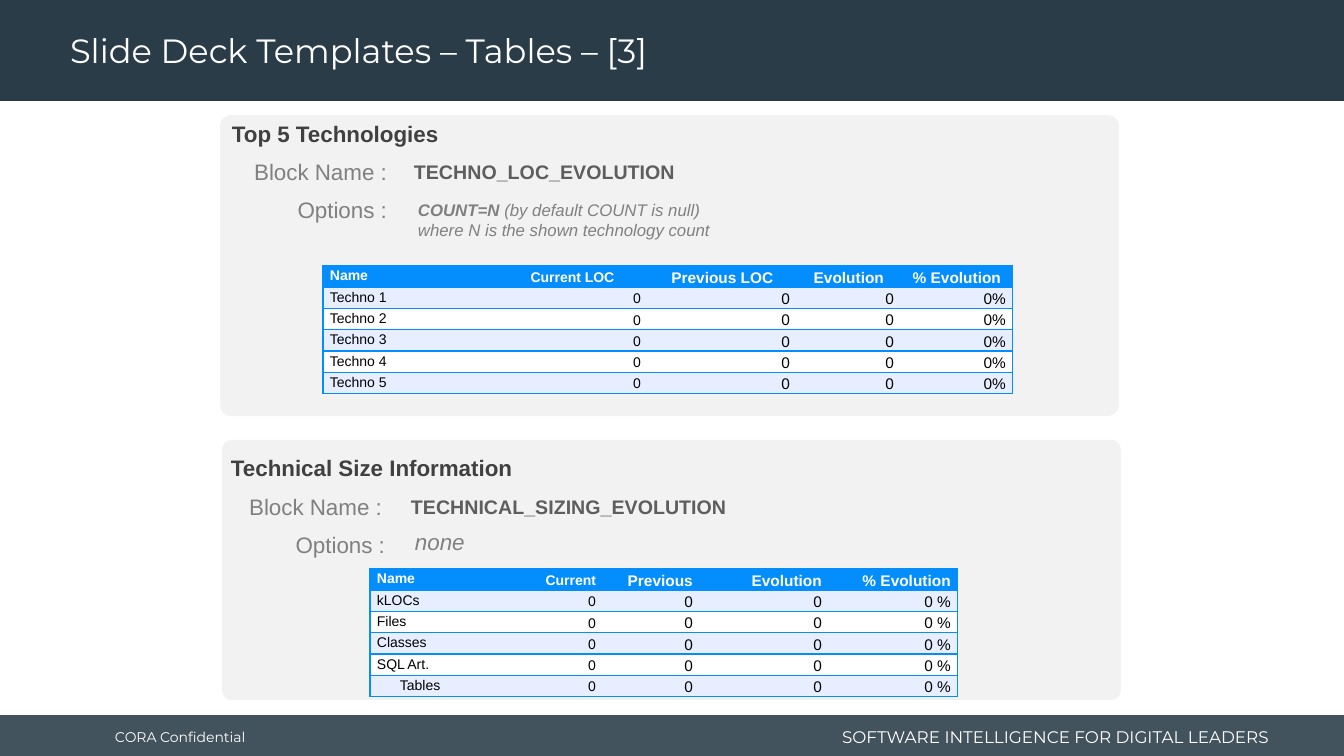
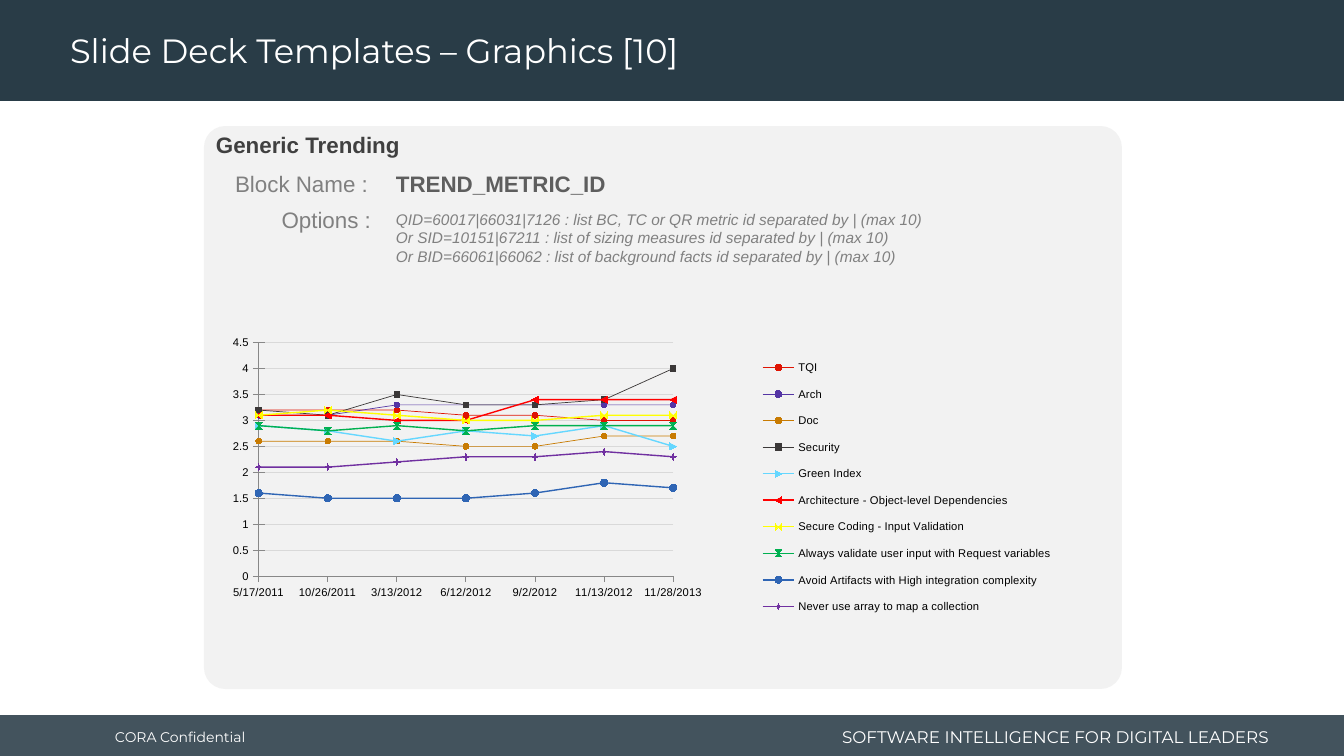
"""Build two template reference slides: evolution tables and a metric trend chart."""
from lxml.etree import SubElement
from pptx import Presentation
from pptx.chart.data import CategoryChartData
from pptx.dml.color import RGBColor
from pptx.enum.chart import XL_CHART_TYPE, XL_LEGEND_POSITION, XL_MARKER_STYLE, XL_TICK_MARK
from pptx.enum.shapes import MSO_SHAPE
from pptx.enum.text import MSO_ANCHOR, MSO_AUTO_SIZE, PP_ALIGN
from pptx.oxml import parse_xml
from pptx.oxml.ns import nsdecls, qn
from pptx.util import Emu, Pt

W, H = 1344, 756
SCALE = 12192000 / W
NAVY, WHITE, BLACK, PANEL = "293C47", "FFFFFF", "000000", "F2F2F2"
HEADING, NAME, GREY = "404040", "5E5E5E", "808080"
BLUE, STRIPE, AXIS, GRID = "048EFD", "E7EEFF", "888888", "D9D9D9"
BODY, BRAND = "Arial", "Montserrat"
LEFT, CENTER, RIGHT = PP_ALIGN.LEFT, PP_ALIGN.CENTER, PP_ALIGN.RIGHT
LABEL_W = 180

TECHNOLOGIES = {
    "box": (220, 115, 899, 301), "heading": ("Top 5 Technologies", 212, 115),
    "name": ("TECHNO_LOC_EVOLUTION", 404, 155, 14),
    "labels": [("Block Name :", 397, 153), ("Options :", 397, 191)],
    "options": (408, 195, 12, [
        [("COUNT=N", True), (" (by default COUNT is null)", False)],
        [("where N is the shown technology count", False)]]),
}
TECHNO_TABLE = {
    "at": (323, 266), "cols": [174, 151, 149, 104, 112], "head_align": CENTER,
    "head": ["Name", "Current LOC", "Previous LOC", "Evolution", "% Evolution"],
    "rows": [(f"Techno {n}", 0) for n in range(1, 6)], "values": ["0", "0", "0", "0%"],
}
SIZING = {
    "box": (222, 440, 899, 260), "heading": ("Technical Size Information", 211, 449),
    "name": ("TECHNICAL_SIZING_EVOLUTION", 401, 490, 14),
    "labels": [("Block Name :", 392, 488), ("Options :", 395, 526)],
    "options": (405, 523, 16, [[("none", False)]]),
}
SIZING_TABLE = {
    "at": (370, 569), "cols": [136, 97, 97, 129, 129], "head_align": RIGHT,
    "head": ["Name", "Current", "Previous", "Evolution", "% Evolution"],
    "rows": [("kLOCs", 0), ("Files", 0), ("Classes", 0), ("SQL Art.", 0), ("Tables", 23)],
    "values": ["0", "0", "0", "0 %"],
}
TRENDING = {
    "box": (204, 126, 918, 563), "heading": ("Generic Trending", 196, 126),
    "name": ("TREND_METRIC_ID", 386, 165, 16),
    "labels": [("Block Name :", 378, 165), ("Options :", 381, 201)],
    "options": (386, 205, 11, [[(line, False)] for line in (
        "QID=60017|66031|7126 : list BC, TC or QR metric id separated by | (max 10)",
        "Or SID=10151|67211 : list of sizing measures id separated by | (max 10)",
        "Or BID=66061|66062 : list of background facts id separated by | (max 10)")]),
}
CHART_BOX = (204, 293, 913, 388)
PLOT_LAYOUT, LEGEND_LAYOUT = (0.06, 0.128, 0.454, 0.602), (0.6, 0.14, 0.34, 0.72)
DATES = ["5/17/2011", "10/26/2011", "3/13/2012", "6/12/2012", "9/2/2012",
         "11/13/2012", "11/28/2013"]
CIRCLE, SQUARE = XL_MARKER_STYLE.CIRCLE, XL_MARKER_STYLE.SQUARE
SERIES = [
    ("TQI", [3.2, 3.2, 3.2, 3.1, 3.1, 3, 3], "DF1403", CIRCLE, "950D02"),
    ("Arch", [3.1, 3.1, 3.3, 3.3, 3.3, 3.3, 3.3], "5435A4", CIRCLE, "38246D"),
    ("Doc", [2.6, 2.6, 2.6, 2.5, 2.5, 2.7, 2.7], "C87B02", CIRCLE, "855201"),
    ("Security", [3.2, 3.1, 3.5, 3.3, 3.3, 3.4, 4], "3B3838", SQUARE, "181717"),
    ("Green Index", [2.9, 2.8, 2.6, 2.8, 2.7, 2.9, 2.5], "65D7FF", None, None),
    ("Architecture - Object-level Dependencies",
     [3.1, 3.1, 3, 3, 3.4, 3.4, 3.4], "FF0000", None, None),
    ("Secure Coding - Input Validation",
     [3.1, 3.2, 3.1, 3, 3, 3.1, 3.1], "FFFF00", None, None),
    ("Always validate user input with Request variables",
     [2.9, 2.8, 2.9, 2.8, 2.9, 2.9, 2.9], "00B050", None, None),
    ("Avoid Artifacts with High integration complexity",
     [1.6, 1.5, 1.5, 1.5, 1.6, 1.8, 1.7], "2F65B4", None, None),
    ("Never use array to map a collection",
     [2.1, 2.1, 2.2, 2.3, 2.3, 2.4, 2.3], "7030A0", None, None),
]


def px(n):
    return Emu(round(n * SCALE))


def rgb(color):
    return RGBColor.from_string(color)


def paint(fill, color):
    fill.solid()
    fill.fore_color.rgb = rgb(color)


def stroke(line, color, width):
    paint(line.fill, color)
    line.width = Pt(width)


def add_run(p, text, size, color, font=BODY, bold=False, italic=False):
    r = p.add_run()
    r.text = text
    f = r.font
    f.size, f.name, f.bold, f.italic = Pt(size), font, bold, italic
    f.color.rgb = rgb(color)


def add_box(s, box, color, shape=MSO_SHAPE.RECTANGLE):
    sp = s.shapes.add_shape(shape, *map(px, box))
    sp.shadow.inherit = False
    paint(sp.fill, color)
    sp.line.fill.background()
    return sp


def add_text(s, box, paragraphs, size, color, align=LEFT, inset=10,
             anchor=MSO_ANCHOR.TOP, font=BODY, italic=False):
    sp = s.shapes.add_textbox(*map(px, box))
    tf = sp.text_frame
    tf.word_wrap = True
    tf.vertical_anchor = anchor
    tf.margin_left = tf.margin_right = px(inset)
    for i, runs in enumerate(paragraphs):
        p = tf.paragraphs[0] if i == 0 else tf.add_paragraph()
        p.alignment = align
        for text, bold in runs:
            add_run(p, text, size, color, font, bold, italic)
    return sp


def move_bands_to_layout(s):
    footer = add_box(s, (0, 715, W, 44), NAVY)
    color = footer.element.spPr.find(qn("a:solidFill"))[0]
    SubElement(color, qn("a:alpha"), val="88000")
    header = add_box(s, (0, 0, W, 101), NAVY)
    style = {"color": WHITE, "font": BRAND, "anchor": MSO_ANCHOR.MIDDLE}
    notice = add_text(s, (105, 717, 170, 40), [[("CORA Confidential", False)]], 10, **style)
    motto = add_text(s, (817, 721, 462, 32),
                     [[("SOFTWARE INTELLIGENCE FOR DIGITAL LEADERS", False)]],
                     12, align=RIGHT, **style)
    tree = s.slide_layout.shapes.element
    for i, sp in enumerate((footer, header, notice, motto)):
        tree.insert(2 + i, sp.element)


def add_slide(prs, title):
    s = prs.slides.add_slide(prs.slide_layouts[5])
    sp = s.shapes.title
    sp.left, sp.top, sp.width, sp.height = map(px, (60, 4, 966, 97))
    tf = sp.text_frame
    tf.auto_size = MSO_AUTO_SIZE.NONE
    tf.word_wrap = True
    tf.vertical_anchor = MSO_ANCHOR.MIDDLE
    p = tf.paragraphs[0]
    p.alignment, p.line_spacing = LEFT, 0.9
    add_run(p, title, 24, WHITE, BRAND)
    return s


def add_panel(s, panel):
    sp = add_box(s, panel["box"], PANEL, MSO_SHAPE.ROUNDED_RECTANGLE)
    sp.adjustments[0] = 0.038
    text, x, y = panel["heading"]
    add_text(s, (x, y, 898, 37), [[(text, True)]], 16, HEADING, inset=20)
    text, x, y, size = panel["name"]
    add_text(s, (x, y, 731, 34), [[(text, True)]], size, NAME)
    for text, right, y in panel["labels"]:
        add_text(s, (right - LABEL_W, y, LABEL_W, 37), [[(text, False)]], 16, GREY, RIGHT)
    x, y, size, paragraphs = panel["options"]
    add_text(s, (x, y, 731, 37), paragraphs, size, GREY, italic=True)


def set_borders(cell, visible):
    tcPr = cell._tc.get_or_add_tcPr()
    for i, side in enumerate("LRTB"):
        fill = (f'<a:solidFill><a:srgbClr val="{BLUE}"/></a:solidFill>'
                if side in visible else "<a:noFill/>")
        tcPr.insert(i, parse_xml(f'<a:ln{side} {nsdecls("a")} w="12700">{fill}</a:ln{side}>'))


def add_table(s, spec):
    cols, row_h = spec["cols"], 21
    rows = [(spec["head"], 0)]
    rows += [([name] + spec["values"], indent) for name, indent in spec["rows"]]
    box = (*spec["at"], sum(cols), row_h * len(rows))
    table = s.shapes.add_table(len(rows), len(cols), *map(px, box)).table
    for col, width in zip(table.columns, cols):
        col.width = px(width)
    for i, (texts, indent) in enumerate(rows):
        table.rows[i].height = px(row_h)
        for j, text in enumerate(texts):
            cell = table.cell(i, j)
            cell.margin_left = px(7 + (indent if j == 0 else 0))
            cell.margin_right = px(7)
            cell.margin_top = cell.margin_bottom = 0
            cell.vertical_anchor = MSO_ANCHOR.TOP if j == 0 else MSO_ANCHOR.MIDDLE
            paint(cell.fill, BLUE if i == 0 else STRIPE if i % 2 else WHITE)
            set_borders(cell, "TB" + ("L" if j == 0 else "R" if j == len(cols) - 1 else ""))
            p = cell.text_frame.paragraphs[0]
            p.line_spacing = 1.15
            p.alignment = LEFT if j == 0 else spec["head_align"] if i == 0 else RIGHT
            add_run(p, text, 10 if j < 2 else 11, BLACK if i else WHITE, bold=i == 0)


def set_layout(parent, index, sizes, inner=False):
    for old in parent.findall(qn("c:layout")):
        parent.remove(old)
    target = '<c:layoutTarget val="inner"/>' if inner else ""
    modes = '<c:xMode val="edge"/><c:yMode val="edge"/>'
    values = "".join(f'<c:{k} val="{v}"/>' for k, v in zip("xywh", sizes))
    parent.insert(index, parse_xml(
        f'<c:layout {nsdecls("c")}><c:manualLayout>{target}{modes}{values}'
        '</c:manualLayout></c:layout>'))


def start_lines_on_axis(val_axis):
    for old in val_axis.findall(qn("c:crossBetween")):
        val_axis.remove(old)
    anchor = val_axis.find(qn("c:crosses"))
    if anchor is None:
        anchor = val_axis.find(qn("c:crossAx"))
    anchor.addnext(parse_xml(f'<c:crossBetween {nsdecls("c")} val="midCat"/>'))


def add_trend_chart(s):
    data = CategoryChartData()
    data.categories = DATES
    for name, values, *_ in SERIES:
        data.add_series(name, values)
    chart = s.shapes.add_chart(XL_CHART_TYPE.LINE_MARKERS, *map(px, CHART_BOX), data).chart
    chart.has_title = False
    chart.font.size, chart.font.name = Pt(8), BODY
    chart.font.color.rgb = rgb(BLACK)
    plot = chart.plots[0]
    plot.vary_by_categories = False
    for series, (_, _, color, symbol, edge) in zip(plot.series, SERIES):
        series.smooth = False
        stroke(series.format.line, color, 0.5 if symbol else 1)
        marker = series.marker
        if symbol:
            marker.style = symbol
        marker.size = 4 if symbol else 5
        paint(marker.format.fill, color)
        stroke(marker.format.line, edge or color, 0.5)
    cat, val = chart.category_axis, chart.value_axis
    cat.major_tick_mark, val.major_tick_mark = XL_TICK_MARK.OUTSIDE, XL_TICK_MARK.CROSS
    for axis in (cat, val):
        stroke(axis.format.line, AXIS, 0.75)
    val.minimum_scale, val.maximum_scale, val.major_unit = 0, 4.5, 0.5
    val.has_major_gridlines = True
    stroke(val.major_gridlines.format.line, GRID, 0.75)
    chart.has_legend = True
    chart.legend.position = XL_LEGEND_POSITION.RIGHT
    chart.legend.include_in_layout = False
    root = chart.element
    start_lines_on_axis(root.find(".//" + qn("c:valAx")))
    set_layout(root.find(".//" + qn("c:plotArea")), 0, PLOT_LAYOUT, inner=True)
    set_layout(root.find(".//" + qn("c:legend")), 1, LEGEND_LAYOUT)


def main():
    prs = Presentation()
    prs.slide_width, prs.slide_height = px(W), px(H)
    s = add_slide(prs, "Slide Deck Templates – Tables – [3]")
    move_bands_to_layout(s)
    for panel, table in ((TECHNOLOGIES, TECHNO_TABLE), (SIZING, SIZING_TABLE)):
        add_panel(s, panel)
        add_table(s, table)
    s = add_slide(prs, "Slide Deck Templates – Graphics [10]")
    add_panel(s, TRENDING)
    add_trend_chart(s)
    prs.save("out.pptx")


if __name__ == "__main__":
    main()
